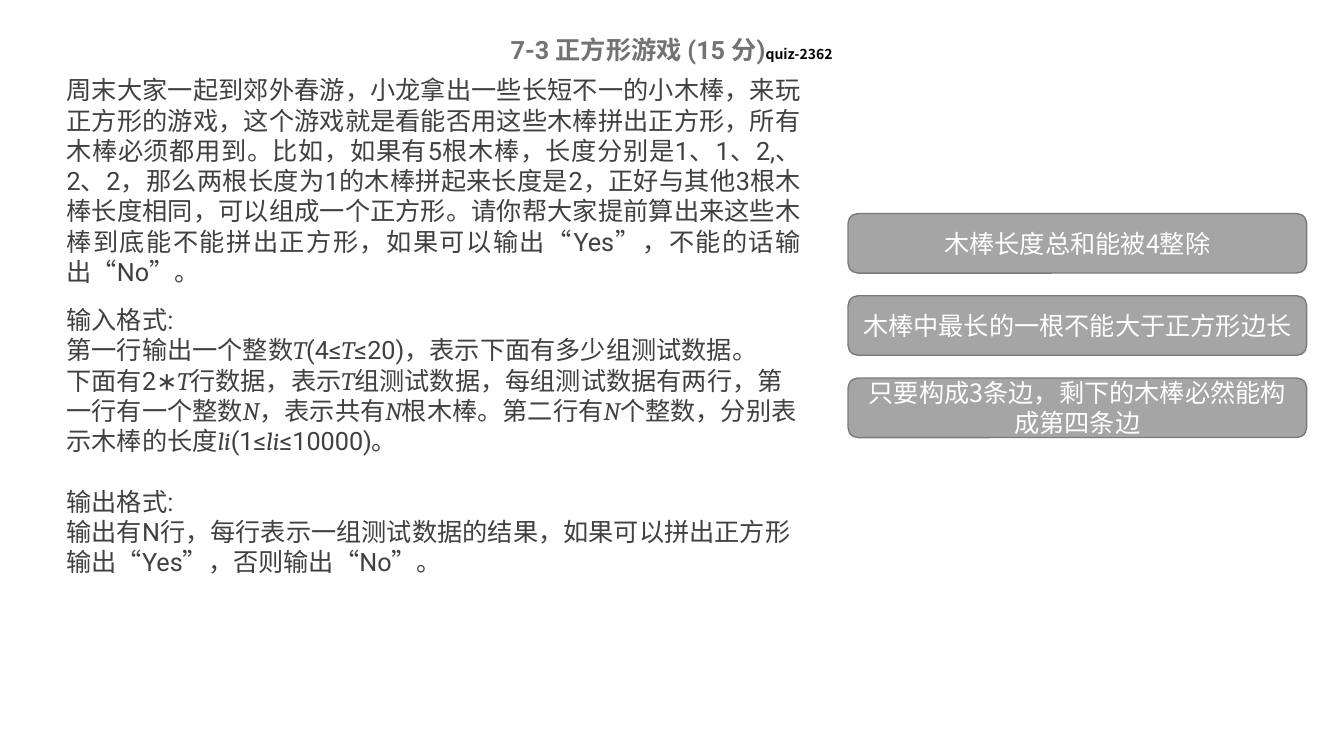
from dataclasses import dataclass

from lxml import etree
from pptx import Presentation
from pptx import util as u
from pptx.dml.color import RGBColor
from pptx.enum import shapes, text
from pptx.oxml import ns

WHITE = RGBColor(0xFF, 0xFF, 0xFF)
BLACK = RGBColor(0, 0, 0)
INK = RGBColor(0x40, 0x40, 0x40)
HEADING = RGBColor(0x73, 0x73, 0x73)
CARD_FILL = RGBColor(0xA5, 0xA5, 0xA5)
CARD_LINE = RGBColor(0x7A, 0x7A, 0x7A)

LATIN, CJK, MATH = "Roboto", "Noto Sans CJK SC", "Cambria"
BODY_SIZE = u.Pt(18)
BLANK_LINE = u.Pt(21.6)

SLIDE_WIDTH, SLIDE_HEIGHT = u.Inches(13.33), u.Inches(7.5)
COLUMN = SLIDE_WIDTH / 40
ROW = SLIDE_HEIGHT / 25


@dataclass(frozen=True)
class Area:
    """A rectangle in grid columns and rows."""
    column: float
    row: float
    columns: float
    rows: float

    def place(self, box) -> None:
        """Move and size a box to this area."""
        box.left, box.top = round(self.column * COLUMN), round(self.row * ROW)
        box.width, box.height = round(self.columns * COLUMN), round(self.rows * ROW)


@dataclass(frozen=True)
class Line:
    """A paragraph; underscores enclose mathematical variables."""
    words: str
    align: text.PP_ALIGN = text.PP_ALIGN.LEFT
    before: u.Pt = u.Pt(0)


TITLE_AREA = Area(13.27, 0.97, 13.44, 1.33)
STORY_AREA = Area(1.68, 2.3, 22.46, 6.4)
FORMAT_AREA = Area(1.68, 9.9, 22.46, 9.43)
CARD_COLUMN, CARD_ROW, CARD_STEP = 25.24, 7.06, 2.72
CARD_COLUMNS, CARD_ROWS = 13.65, 1.97

STORY = [Line(
    "周末大家一起到郊外春游，小龙拿出一些长短不一的小木棒，来玩正方形的游戏，"
    "这个游戏就是看能否用这些木棒拼出正方形，所有木棒必须都用到。"
    "比如，如果有5根木棒，长度分别是1、1、2,、2、2，"
    "那么两根长度为1的木棒拼起来长度是2，正好与其他3根木棒长度相同，"
    "可以组成一个正方形。请你帮大家提前算出来这些木棒到底能不能拼出正方形，"
    "如果可以输出“Yes”，不能的话输出“No”。", text.PP_ALIGN.JUSTIFY)]
FORMATS = [
    Line("输入格式:"),
    Line("第一行输出一个整数_T_(4≤_T_≤20)，表示下面有多少组测试数据。"),
    Line("下面有2∗_T_行数据，表示_T_组测试数据，每组测试数据有两行，"
         "第一行有一个整数_N_，表示共有_N_根木棒。第二行有_N_个整数，"
         "分别表示木棒的长度_li_(1≤_li_≤10000)。"),
    Line("输出格式:", before=BLANK_LINE),
    Line("输出有N行，每行表示一组测试数据的结果，如果可以拼出正方形输出“Yes”，否则输出“No”。"),
]
HINTS = [
    "木棒长度总和能被4整除",
    "木棒中最长的一根不能大于正方形边长",
    "只要构成3条边，剩下的木棒必然能构成第四条边",
]


def set_font(font, name: str, color: RGBColor, size: u.Pt = BODY_SIZE) -> None:
    """Set the face, colour and size of a font."""
    font.name, font.size = name, size
    font.color.rgb = color


def fit_frame(box) -> None:
    """Wrap the text from the top and let the box grow with it."""
    frame = box.text_frame
    frame.word_wrap = True
    frame.vertical_anchor = text.MSO_ANCHOR.TOP
    frame.auto_size = text.MSO_AUTO_SIZE.SHAPE_TO_FIT_TEXT


def fill_title(box) -> None:
    """Write the problem's name and its source number."""
    TITLE_AREA.place(box)
    fit_frame(box)
    para = box.text_frame.paragraphs[0]
    para.alignment = text.PP_ALIGN.CENTER
    para.font.bold = True
    for words, name, color, size in (("7-3 正方形游戏 (15 分)", LATIN, HEADING, BODY_SIZE),
                                     ("quiz-2362", CJK, BLACK, u.Pt(10))):
        span = para.add_run()
        span.text = words
        set_font(span.font, name, color, size)
        span.font.bold = True


def fill_body(box, area: Area, lines: list[Line]) -> None:
    """Write unbulleted paragraphs with italic variables."""
    area.place(box)
    fit_frame(box)
    frame = box.text_frame
    for index, line in enumerate(lines):
        para = frame.add_paragraph() if index else frame.paragraphs[0]
        para.alignment = line.align
        para.space_before = line.before
        properties = para._p.get_or_add_pPr()
        properties.set("marL", "0")
        properties.set("indent", "0")
        etree.SubElement(properties, ns.qn("a:buNone"))
        set_font(para.font, LATIN, INK)
        for order, words in enumerate(line.words.split("_")):
            if not words:
                continue
            span = para.add_run()
            span.text = words
            variable = order % 2 == 1
            set_font(span.font, MATH if variable else LATIN, INK)
            span.font.italic = variable


def add_card(page, area: Area, words: str) -> None:
    """Add a rounded grey card with a hint."""
    card = page.shapes.add_shape(shapes.MSO_SHAPE.ROUNDED_RECTANGLE, 0, 0, 0, 0)
    area.place(card)
    card.shadow.inherit = False
    card.fill.solid()
    card.fill.fore_color.rgb = CARD_FILL
    card.line.color.rgb = CARD_LINE
    card.line.width = u.Pt(1)
    frame = card.text_frame
    frame.word_wrap = True
    frame.vertical_anchor = text.MSO_ANCHOR.MIDDLE
    para = frame.paragraphs[0]
    para.text = words
    para.alignment = text.PP_ALIGN.CENTER
    set_font(para.font, CJK, WHITE)


deck = Presentation()
deck.slide_width, deck.slide_height = SLIDE_WIDTH, SLIDE_HEIGHT
page = deck.slides.add_slide(deck.slide_layouts.get_by_name("Two Content"))
title, story, formats = list(page.placeholders)[:3]
fill_title(title)
fill_body(story, STORY_AREA, STORY)
fill_body(formats, FORMAT_AREA, FORMATS)
for position, hint in enumerate(HINTS):
    add_card(page, Area(CARD_COLUMN, CARD_ROW + position * CARD_STEP,
                        CARD_COLUMNS, CARD_ROWS), hint)
deck.save("out.pptx")
